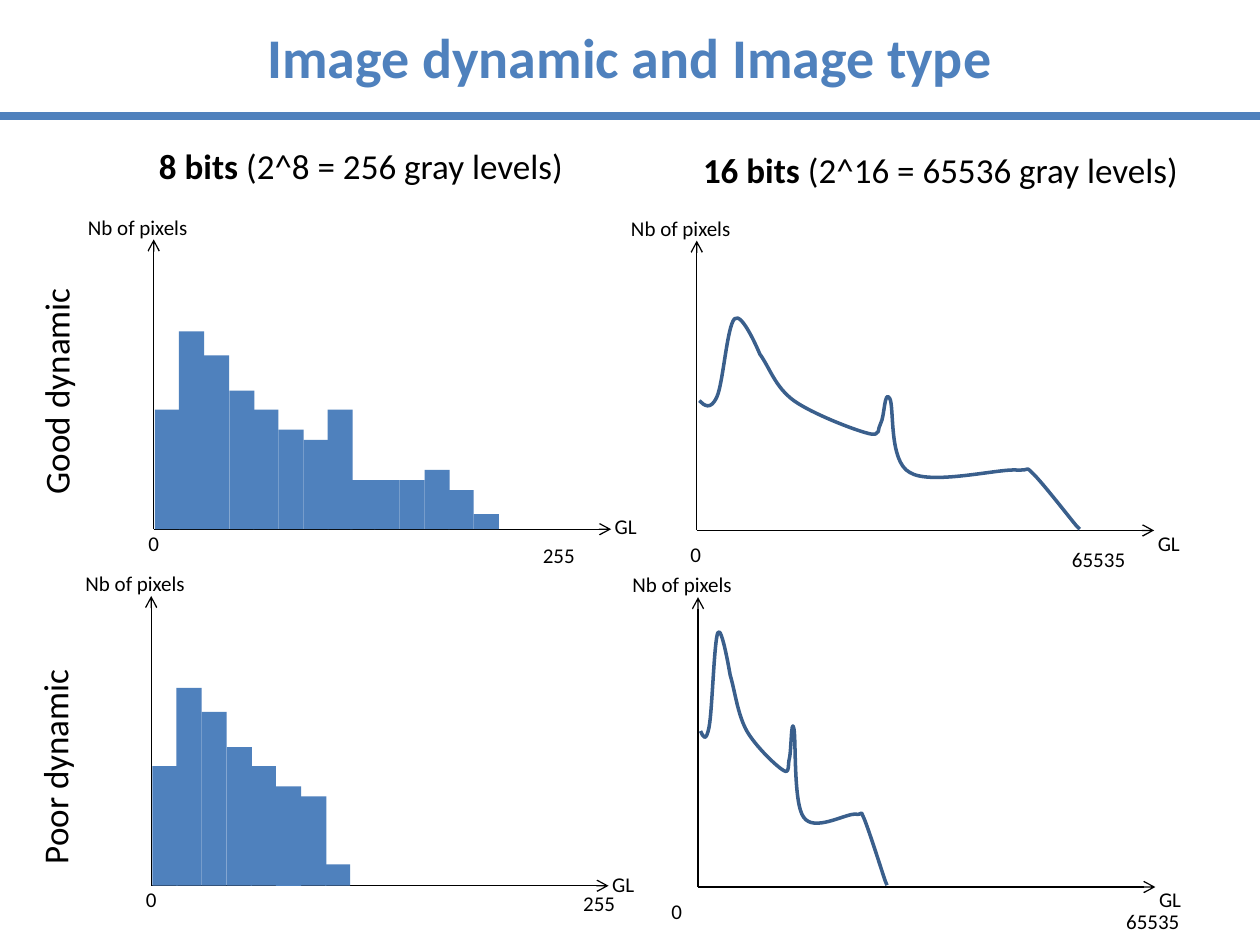
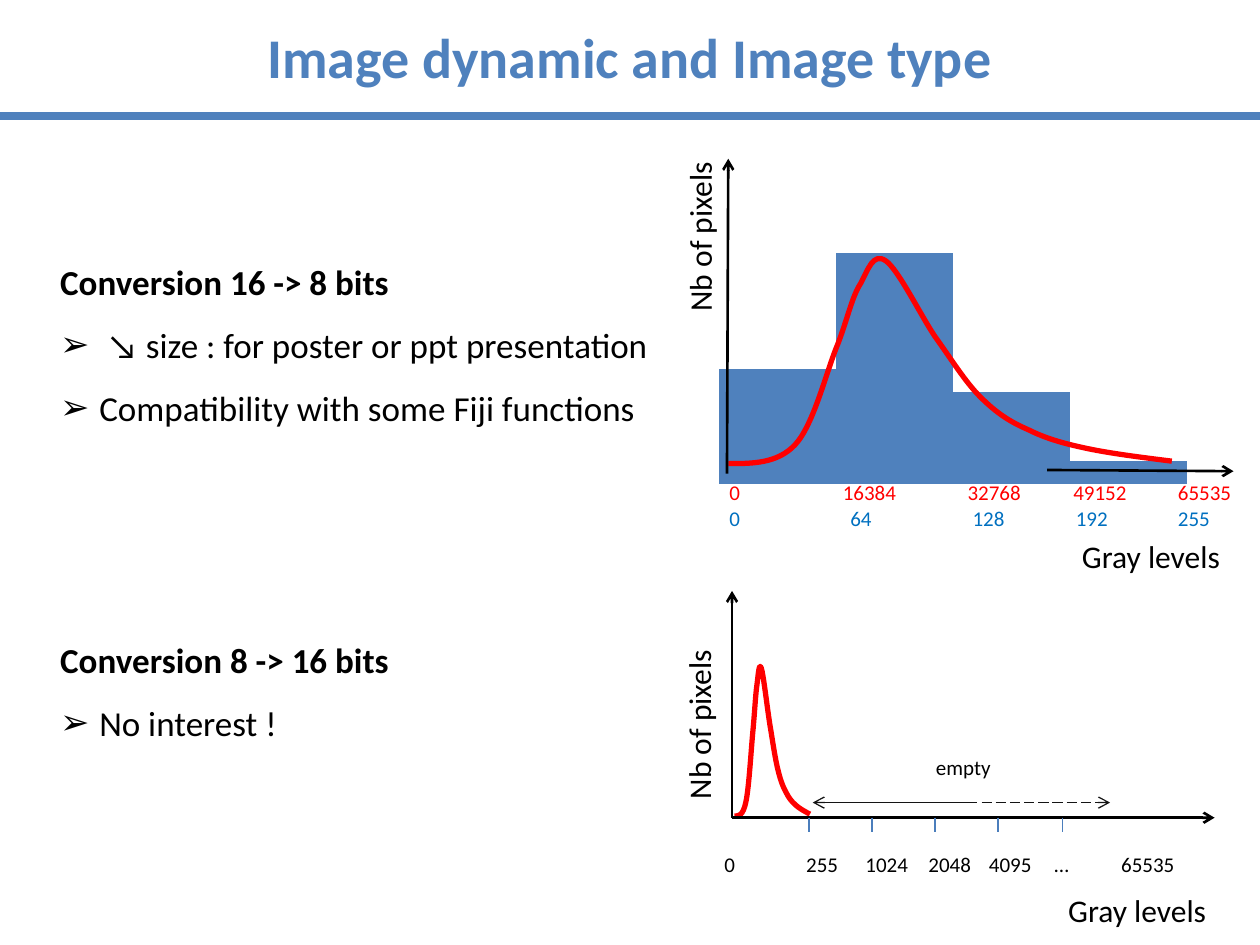
from lxml import etree
from pptx import Presentation
from pptx import util as u
from pptx.chart.data import CategoryChartData
from pptx.dml.color import RGBColor
from pptx.enum import chart as charts, dml, shapes, text
from pptx.oxml import parse_xml
from pptx.oxml.ns import nsdecls, qn

PX = 9144
FONT = "Calibri"
BLACK = RGBColor(0x00, 0x00, 0x00)
DARK = RGBColor(0x14, 0x14, 0x14)
BLUE = RGBColor(0x4F, 0x81, 0xBD)
CURVE_BLUE = RGBColor(0x3A, 0x5F, 0x8C)
TICK_BLUE = RGBColor(0x4B, 0x7E, 0xBC)
LABEL_BLUE = RGBColor(0x00, 0x70, 0xC0)
RED = RGBColor(0xFF, 0x00, 0x00)
CENTER = text.PP_ALIGN.CENTER

LABEL_WIDTHS = {"0": 31, "255": 55, "65535": 70, "GL": 51}
COMMON_BARS = [95, 157, 138, 110, 95, 79, 71]

TWO_PEAKS = [
    (0, 66),
    (4, 70), (9, 74), (14, 63),
    (19, 52), (22, 7), (28, 1),
    (34, -5), (48, 29), (48, 29),
    (56, 40), (60, 55), (75, 66),
    (89, 76), (122, 89), (134, 92),
    (145, 95), (141, 88), (144, 84),
    (147, 79), (147, 57), (151, 64),
    (155, 70), (150, 114), (167, 123),
    (183, 133), (233, 121), (250, 121),
    (266, 122), (257, 117), (265, 124),
    (273, 132), (294, 159), (299, 165),
    (300, 166), (301, 167), (302, 168),
]
ONE_PEAK = [
    (0, 168),
    (19, 168), (39, 168), (53, 153),
    (68, 137), (78, 94), (87, 73),
    (95, 52), (98, 36), (105, 25),
    (111, 14), (115, 0), (125, 7),
    (135, 14), (152, 49), (164, 67),
    (177, 85), (188, 103), (200, 115),
    (213, 128), (224, 135), (238, 141),
    (252, 148), (266, 152), (285, 156),
    (304, 160), (328, 163), (352, 166),
]


class Deck:
    def __init__(self):
        self.prs = Presentation()
        self.prs.slide_width = 1000 * PX
        self.prs.slide_height = 750 * PX
        self.s = None

    def slide(self, title):
        self.s = self.prs.slides.add_slide(self.prs.slide_layouts[6])
        sp = self.text(200, 13, 600, 64, title, 32, BLUE, bold=True, align=CENTER)
        sp.text_frame.word_wrap = False
        self.line(0, 92, 1000, 92, BLUE, 4.5)

    def style(self, r, size, color, bold=False):
        r.font.name = FONT
        r.font.size = u.Pt(size)
        r.font.bold = bold
        r.font.color.rgb = color

    def text(self, x, y, w, h, words, size=12, color=BLACK, bold=False,
             align=None, rot=0, top=5):
        sp = self.s.shapes.add_textbox(x * PX, y * PX, w * PX, h * PX)
        sp.rotation = rot
        tf = sp.text_frame
        tf.word_wrap = True
        tf.margin_top = top * PX
        p = tf.paragraphs[0]
        p.text = words
        p.alignment = align
        self.style(p.runs[0], size, color, bold)
        return sp

    def heading(self, x, y, w, bold_part, rest):
        sp = self.text(x, y, w, 49, bold_part, 20, bold=True, align=CENTER, top=10)
        r = sp.text_frame.paragraphs[0].add_run()
        r.text = rest
        self.style(r, 20, BLACK)

    def tabbed(self, x, y, w, h, rows):
        sp = self.s.shapes.add_textbox(x * PX, y * PX, w * PX, h * PX)
        tf = sp.text_frame
        tf.word_wrap = True
        for i, (labels, stops, color) in enumerate(rows):
            p = tf.paragraphs[0] if i == 0 else tf.add_paragraph()
            p.text = "\t".join(labels)
            tabs = etree.SubElement(p._p.get_or_add_pPr(), qn("a:tabLst"))
            for stop in stops:
                etree.SubElement(tabs, qn("a:tab"), pos=str(stop * PX), algn="l")
            for r in p.runs:
                self.style(r, 12, color)

    def bullets(self, x, y, w, h, rows):
        sp = self.s.shapes.add_textbox(x * PX, y * PX, w * PX, h * PX)
        tf = sp.text_frame
        tf.word_wrap = True
        for i, (words, is_title) in enumerate(rows):
            p = tf.paragraphs[0] if i == 0 else tf.add_paragraph()
            p.text = words
            p.line_spacing = 1.5
            if is_title and i:
                p.space_before = u.Pt(108)
            if not is_title:
                pPr = p._p.get_or_add_pPr()
                pPr.set("marL", str(31 * PX))
                pPr.set("indent", str(-31 * PX))
                etree.SubElement(pPr, qn("a:buFont"), typeface=FONT)
                etree.SubElement(pPr, qn("a:buChar"), char="➢")
            self.style(p.runs[0], 20, BLACK, is_title)

    def line(self, x1, y1, x2, y2, color=BLACK, width=0.75, arrow=False, dash=None):
        c = self.s.shapes.add_connector(
            shapes.MSO_CONNECTOR.STRAIGHT, x1 * PX, y1 * PX, x2 * PX, y2 * PX)
        c.line.color.rgb = color
        c.line.width = u.Pt(width)
        if dash:
            c.line.dash_style = dash
        if arrow:
            etree.SubElement(c.line._get_or_add_ln(), qn("a:tailEnd"), type="arrow")
        etree.SubElement(c._element.spPr, qn("a:effectLst"))

    def axes(self, x, y, length, height, width=0.75):
        self.line(x, y, x, y - height, width=width, arrow=True)
        self.line(x, y, x + length, y, width=width, arrow=True)

    def bars(self, x, base, heights):
        for i, h in enumerate(heights):
            sp = self.s.shapes.add_shape(
                shapes.MSO_SHAPE.RECTANGLE,
                (x + i * 197 // 10) * PX, (base - h) * PX, 20 * PX, h * PX)
            sp.shadow.inherit = False
            sp.fill.solid()
            sp.fill.fore_color.rgb = BLUE
            sp.line.fill.background()

    def curve(self, x, y, points, color, width, sx=1, sy=1):
        pts = [(round((x + px * sx) * PX), round((y + py * sy) * PX)) for px, py in points]
        fb = self.s.shapes.build_freeform(*pts[0], scale=1.0)
        fb.add_line_segments(pts[3::3], close=False)
        sp = fb.convert_to_shape()
        for i, ln in enumerate(list(sp._element.iter(qn("a:lnTo")))):
            bez = etree.Element(qn("a:cubicBezTo"))
            for px, py in pts[3 * i + 1:3 * i + 4]:
                etree.SubElement(bez, qn("a:pt"), x=str(px - sp.left), y=str(py - sp.top))
            ln.getparent().replace(ln, bez)
        sp.shadow.inherit = False
        sp.fill.background()
        sp.line.color.rgb = color
        sp.line.width = u.Pt(width)

    def columns(self, x, y, w, h, values):
        data = CategoryChartData()
        data.categories = [str(i + 1) for i in range(len(values))]
        data.add_series("Series 1", values)
        ch = self.s.shapes.add_chart(
            charts.XL_CHART_TYPE.COLUMN_CLUSTERED,
            x * PX, y * PX, w * PX, h * PX, data).chart
        ch.font.name = FONT
        ch.font.size = u.Pt(10)
        ch.font.color.rgb = BLACK
        ch.has_legend = False
        ch.has_title = False
        plot = ch.plots[0]
        plot.gap_width = 0
        plot.vary_by_categories = False
        plot.series[0].format.fill.solid()
        plot.series[0].format.fill.fore_color.rgb = BLUE
        cat, val = ch.category_axis, ch.value_axis
        cat.tick_label_position = charts.XL_TICK_LABEL_POSITION.NONE
        cat.major_tick_mark = charts.XL_TICK_MARK.NONE
        cat.format.line.fill.background()
        val.minimum_scale, val.maximum_scale = 0, 120
        val.has_major_gridlines = False
        val.visible = False
        area = ch._chartSpace.chart.plotArea
        for old in area.findall(qn("c:layout")):
            area.remove(old)
        area.insert(0, parse_xml(
            f'<c:layout {nsdecls("c")}><c:manualLayout><c:layoutTarget val="inner"/>'
            '<c:xMode val="edge"/><c:yMode val="edge"/><c:x val="0.02"/><c:y val="0.06"/>'
            '<c:w val="0.96"/><c:h val="0.92"/></c:manualLayout></c:layout>'))


def histograms(d):
    d.slide("Image dynamic and Image type")
    d.heading(94, 105, 385, "8 bits ", "(2^8 = 256 gray levels)")
    d.heading(529, 108, 435, "16 bits ", "(2^16 = 65536 gray levels)")
    for x, y in ((122, 420), (553, 421), (120, 703), (554, 704)):
        d.axes(x, y, 363, 230)
        d.text(x - 62, y - 255, 157, 30, "Nb of pixels")
    d.bars(123, 420, COMMON_BARS + [95])
    d.bars(278, 420, [39, 39, 39, 47, 31, 12])
    d.bars(121, 703, COMMON_BARS + [17])
    d.curve(555, 252, TWO_PEAKS, CURVE_BLUE, 2)
    d.curve(556, 501, TWO_PEAKS, CURVE_BLUE, 2, 0.49, 1.2)
    for x, y, words in (
            (108, 416, "0"), (421, 426, "255"), (478, 403, "GL"),
            (538, 425, "0"), (841, 429, "65535"), (909, 416, "GL"),
            (106, 699, "0"), (453, 702, "255"), (476, 687, "GL"),
            (523, 708, "0"), (884, 716, "65535"), (910, 699, "GL")):
        d.text(x, y, LABEL_WIDTHS[words], 30, words)
    d.text(-59, 286, 202, 49, "Good dynamic", 20, align=CENTER, rot=270, top=10)
    d.text(-67, 584, 216, 49, "Poor dynamic", 20, align=CENTER, rot=270, top=10)


def conversions(d):
    d.slide("Image dynamic and Image type")
    d.bullets(38, 185, 764, 500, [
        ("Conversion 16 -> 8 bits", True),
        (" ↘ size : for poster or ppt presentation", False),
        ("Compatibility with some Fiji functions", False),
        ("Conversion 8 -> 16 bits", True),
        ("No interest !", False),
    ])

    d.columns(563, 150, 387, 239, [50, 100, 40, 10])
    d.curve(578, 200, ONE_PEAK, RED, 3)
    d.tabbed(569, 376, 431, 45, [
        (["0", "16384", "32768", "49152", "65535"], [90, 189, 273, 356], RED),
        (["0", "64", "128", "192", "255"], [96, 193, 275, 356], LABEL_BLUE),
    ])
    d.line(577, 376, 578, 126, width=1.5, arrow=True)
    d.line(831, 373, 979, 374, width=1.5, arrow=True)
    d.text(483, 168, 144, 40, "Nb of pixels", 18, align=CENTER, rot=270)
    d.text(845, 421, 137, 40, "Gray levels", 18, align=CENTER)

    d.curve(583, 525, ONE_PEAK, RED, 3, 0.17, 0.73)
    d.axes(581, 649, 383, 180, 1.5)
    for i in range(5):
        x = 642 + i * 201 // 4
        d.line(x, 649, x, 660, TICK_BLUE)
    d.tabbed(565, 671, 435, 30, [
        (["0", "255", "1024", "2048", "4095", "…", "65535"],
         [65, 112, 162, 210, 262, 315], BLACK),
    ])
    d.text(822, 702, 161, 40, "Gray levels", 18, align=CENTER)
    d.text(450, 555, 209, 40, "Nb of pixels", 18, align=CENTER, rot=270)
    d.line(775, 637, 645, 637, DARK, arrow=True)
    d.line(779, 637, 881, 637, DARK, arrow=True, dash=dml.MSO_LINE.LONG_DASH)
    d.text(684, 594, 161, 43, "empty", align=CENTER)


def main():
    d = Deck()
    histograms(d)
    conversions(d)
    d.prs.save("out.pptx")


if __name__ == "__main__":
    main()
